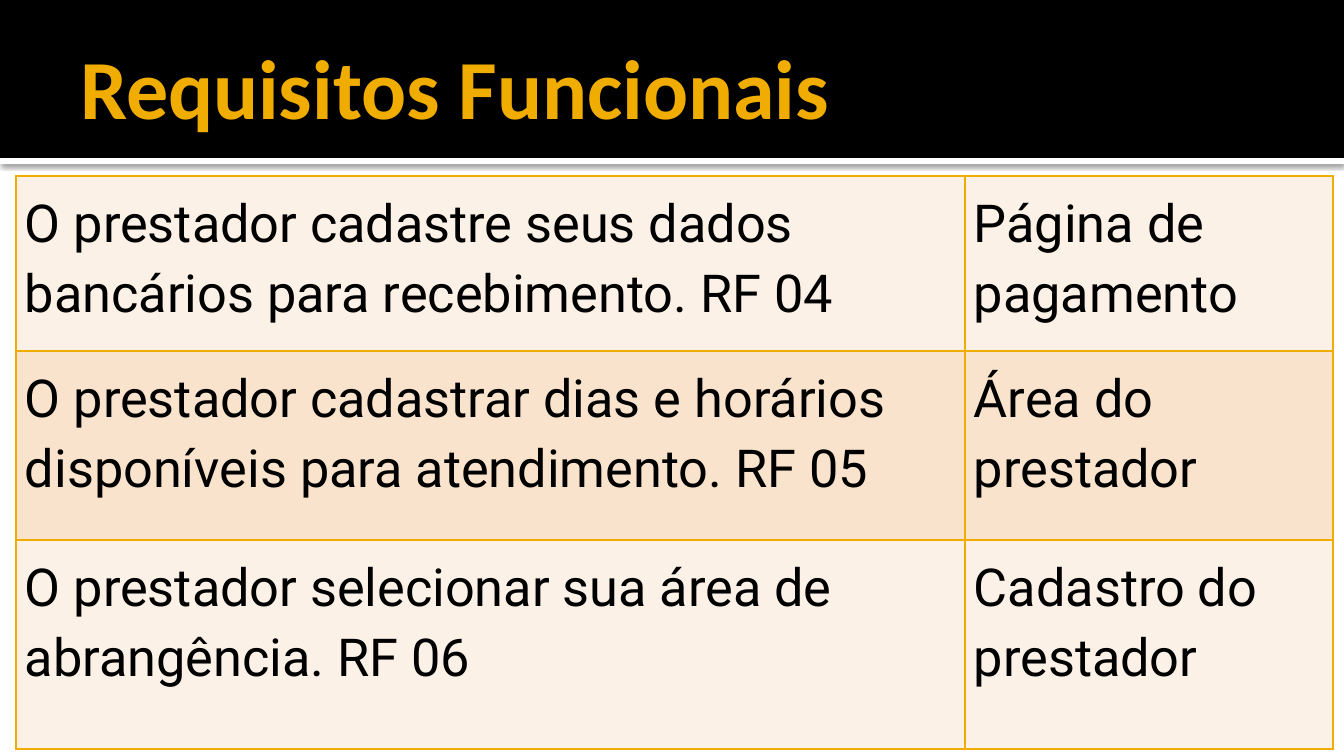
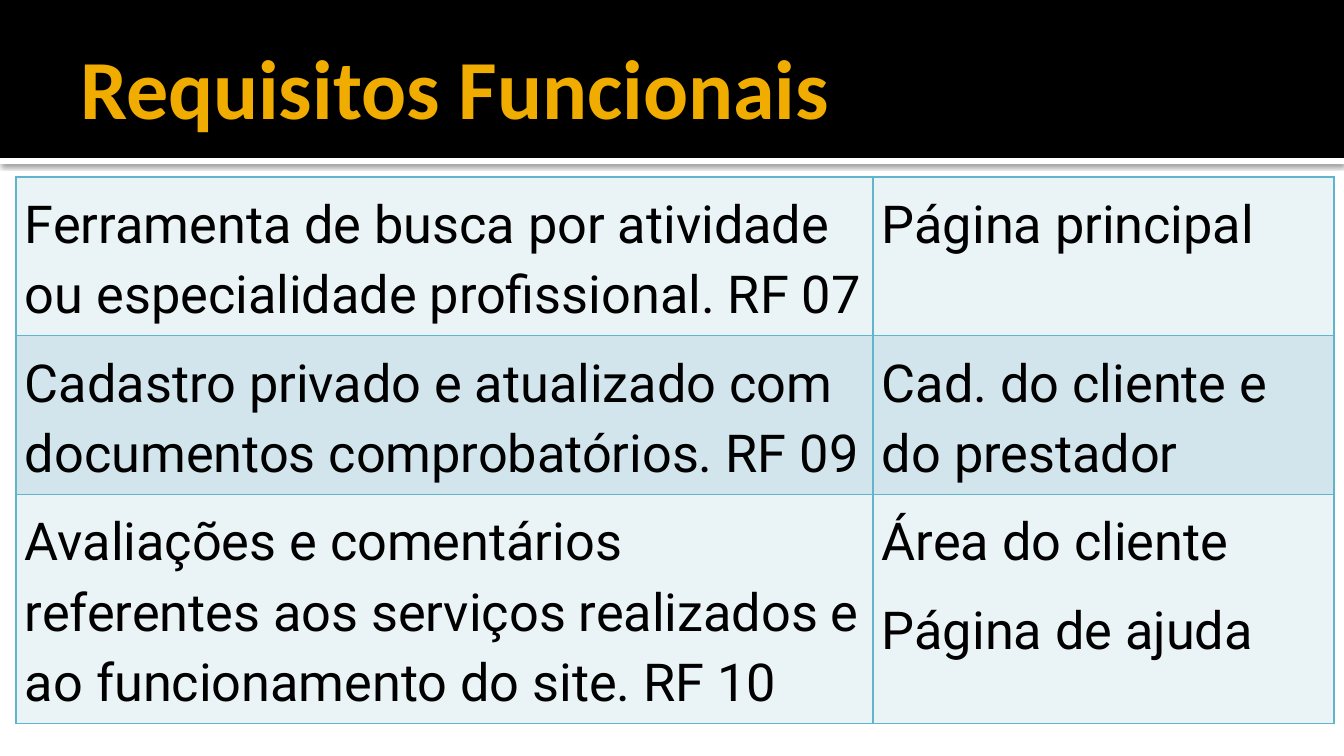
from lxml.etree import SubElement
from pptx import Presentation
from pptx.dml.color import RGBColor
from pptx.enum.shapes import MSO_SHAPE as Shape
from pptx.enum.text import MSO_ANCHOR as Anchor, MSO_AUTO_SIZE as AutoSize, PP_ALIGN as Align
from pptx.oxml import parse_xml
from pptx.oxml.ns import nsdecls, qn
from pptx.util import Emu, Pt

# Shared look
WIDTH, HEIGHT = 1344, 756
SCALE = 9144000 / WIDTH
TITLE_ONLY = 5
BLACK, WHITE, GOLD, TEAL = "000000", "FFFFFF", "F0AD00", "60B5CC"
TITLE_FONT = {"name": "Calibri", "size": Pt(45), "bold": True}
CELL_FONT = {"name": "Roboto", "size": Pt(28), "bold": False}
CELL_PARA = {"line_spacing": 1.15, "space_after": Pt(10), "alignment": Align.LEFT}
SIDES = ("left", "top", "right", "bottom")

# Content: one entry per slide
TABLES = [
    {
        "place": (16, 176, 573),
        "columns": (949, 368),
        "heights": (175, 189, 209),
        "line": GOLD,
        "fills": ("FCF1E7", "F9E3CC"),
        "rows": [
            ("O prestador cadastre seus dados bancários para recebimento. RF 04",
             "Página de pagamento"),
            ("O prestador cadastrar dias e horários disponíveis para atendimento. RF 05",
             "Área do prestador"),
            ("O prestador selecionar sua área de abrangência. RF 06",
             "Cadastro do prestador"),
        ],
    },
    {
        "place": (16, 177, 559),
        "columns": (857, 461),
        "heights": (129, 117, 219),
        "line": TEAL,
        "fills": ("EAF3F6", "D2E5EC"),
        "rows": [
            ("Ferramenta de busca por atividade ou especialidade profissional. RF 07",
             "Página principal"),
            ("Cadastro privado e atualizado com documentos comprobatórios. RF 09",
             "Cad. do cliente e do prestador"),
            ("Avaliações e comentários referentes aos serviços realizados e "
             "ao funcionamento do site. RF 10",
             "Área do cliente\nPágina de ajuda"),
        ],
    },
]


def px(length):
    return Emu(round(length * SCALE))


def color(value):
    return RGBColor.from_string(value)


def apply(target, values):
    for name, value in values.items():
        setattr(target, name, value)


def set_margins(target, margins):
    apply(target, {f"margin_{side}": px(margin) for side, margin in zip(SIDES, margins)})


def style_font(font, values, tint):
    apply(font, values)
    font.color.rgb = color(tint)


def add_band(page, top, height, fill):
    band = page.shapes.add_shape(Shape.RECTANGLE, 0, px(top), px(WIDTH), px(height))
    band.shadow.inherit = False
    band.fill.solid()
    band.fill.fore_color.rgb = color(fill)
    band.line.fill.background()
    return band


def add_shadow(shape):
    effects = shape.element.spPr.find(qn("a:effectLst"))
    effects.append(parse_xml(
        f'<a:outerShdw {nsdecls("a")} blurRad="{Pt(2.5)}" dist="{Pt(0.8)}" dir="5400000" '
        f'algn="t" rotWithShape="0"><a:srgbClr val="{BLACK}">'
        '<a:alpha val="60000"/></a:srgbClr></a:outerShdw>'))


def add_header(page, text):
    add_shadow(add_band(page, 158, 6, WHITE))
    add_band(page, 0, 158, BLACK)

    # Title placeholder, brought in front of the bands
    title = page.shapes.title
    page.shapes.element.append(title.element)
    apply(title, {"left": px(67), "top": px(17), "width": px(1210), "height": px(138)})
    frame = title.text_frame
    frame.text = text
    apply(frame, {"word_wrap": True, "auto_size": AutoSize.NONE,
                  "vertical_anchor": Anchor.MIDDLE})
    set_margins(frame, (13, 7, 7, 7))
    para = frame.paragraphs[0]
    para.alignment = Align.LEFT
    style_font(para.runs[0].font, TITLE_FONT, GOLD)


def fill_cell(cell, text, fill):
    cell.text = text
    cell.vertical_anchor = Anchor.TOP
    set_margins(cell, (9, 9, 9, 9))
    cell.fill.solid()
    cell.fill.fore_color.rgb = color(fill)
    for para in cell.text_frame.paragraphs:
        apply(para, CELL_PARA)
        for span in para.runs:
            style_font(span.font, CELL_FONT, BLACK)


def add_borders(box, tint):
    for properties in box.element.iter(qn("a:tcPr")):
        for index, side in enumerate("LRTB"):
            line = SubElement(properties, qn(f"a:ln{side}"), w=str(Pt(1)))
            fill = SubElement(line, qn("a:solidFill"))
            SubElement(fill, qn("a:srgbClr"), val=tint)
            properties.insert(index, line)


def add_requirements(page, content):
    left, top, height = content["place"]
    rows, columns = content["rows"], content["columns"]
    box = page.shapes.add_table(len(rows), len(columns), px(left), px(top),
                                px(sum(columns)), px(height))
    table = box.table
    apply(table, {"first_row": False, "horz_banding": False})
    for column, width in zip(table.columns, columns):
        column.width = px(width)
    for row, row_height in zip(table.rows, content["heights"]):
        row.height = px(row_height)
    box.height = px(height)

    for index, texts in enumerate(rows):
        for cell, text in zip(table.rows[index].cells, texts):
            fill_cell(cell, text, content["fills"][index % 2])
    add_borders(box, content["line"])


def main():
    deck = Presentation()
    apply(deck, {"slide_width": px(WIDTH), "slide_height": px(HEIGHT)})
    for content in TABLES:
        page = deck.slides.add_slide(deck.slide_layouts[TITLE_ONLY])
        add_header(page, "Requisitos Funcionais")
        add_requirements(page, content)
    deck.save("out.pptx")


if __name__ == "__main__":
    main()
